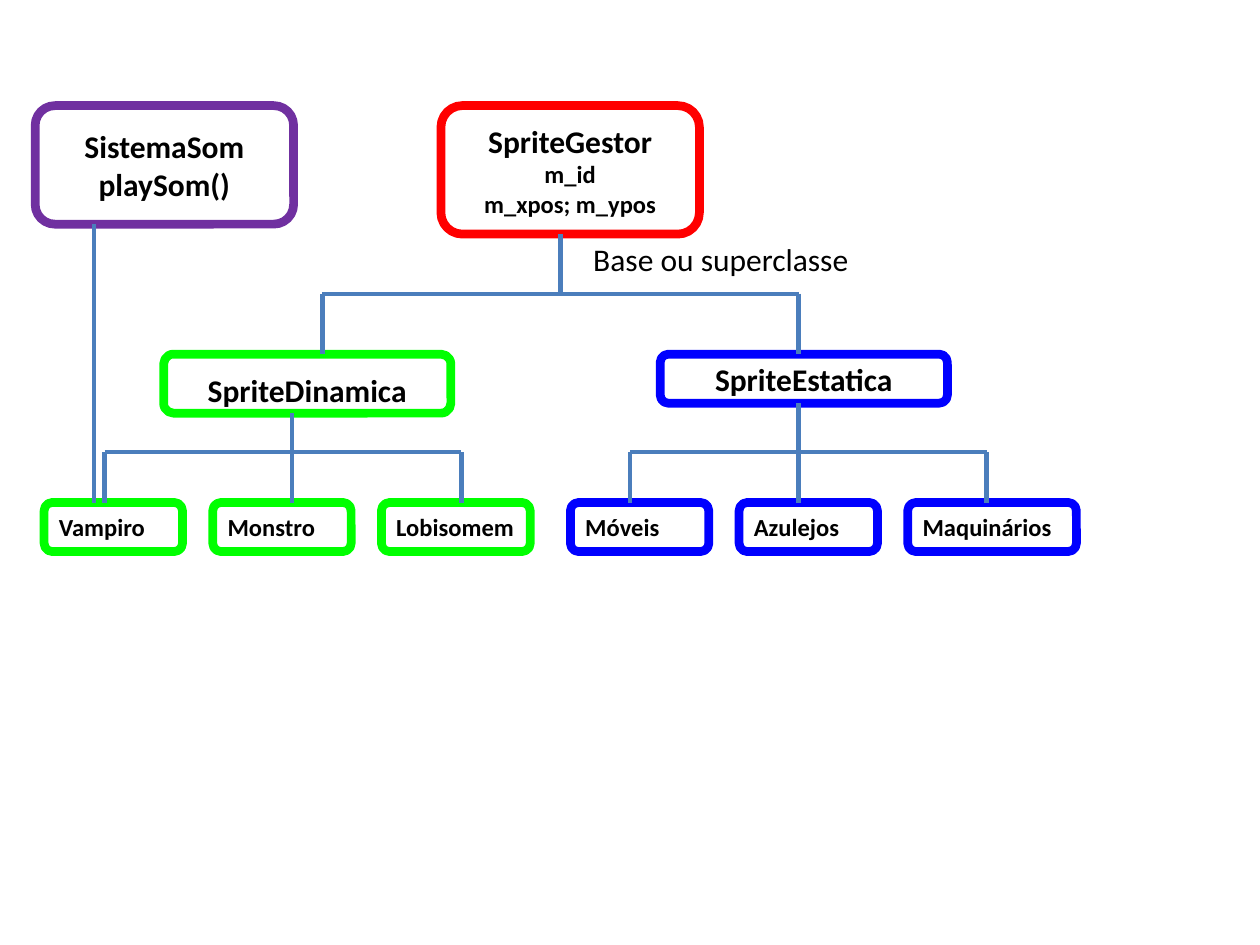
"""Build a slide with the class hierarchy of game sprites."""
from pptx import Presentation
from pptx.dml.color import RGBColor
from pptx.enum.shapes import MSO_CONNECTOR, MSO_SHAPE
from pptx.enum.text import MSO_ANCHOR, PP_ALIGN
from pptx.util import Cm, Pt
from lxml.etree import SubElement
from pptx.oxml.ns import qn

RED = RGBColor(0xFF, 0x00, 0x00)
GREEN = RGBColor(0x00, 0xFF, 0x00)
BLUE = RGBColor(0x00, 0x00, 0xFF)
PURPLE = RGBColor(0x70, 0x30, 0xA0)
STEEL = RGBColor(0x4B, 0x7E, 0xBC)
BLACK = RGBColor(0x00, 0x00, 0x00)

BASE_TOP, CLASS_TOP, LEAF_TOP = 2.13, 7.14, 10.13
CLASS_BUS, LEAF_BUS = 5.92, 9.12
LEAF_STEP, LEAF_HEIGHT = 3.4, 0.99

deck = Presentation()
deck.slide_width, deck.slide_height = Cm(25.4), Cm(19.05)
page = deck.slides.add_slide(deck.slide_layouts[6])


def write_lines(frame, lines, align, bold):
    for index, (text, size) in enumerate(lines):
        para = frame.paragraphs[0] if index == 0 else frame.add_paragraph()
        para.alignment = align
        span = para.add_run()
        span.text = text
        span.font.color.rgb = BLACK
        for name, value in {"name": "Calibri", "size": Pt(size), "bold": bold}.items():
            setattr(span.font, name, value)


def draw_line(start_x, start_y, end_x, end_y, width=2.5):
    line = page.shapes.add_connector(
        MSO_CONNECTOR.STRAIGHT, Cm(start_x), Cm(start_y), Cm(end_x), Cm(end_y))
    line.line.color.rgb = STEEL
    line.line.width = Pt(width)
    SubElement(line._element.spPr, qn("a:effectLst"))


centred = PP_ALIGN.CENTER
boxes = [
    (8.89, BASE_TOP, 5.21, 2.59, RED, centred, {},
     [("SpriteGestor", 18), ("m_id", 14), ("m_xpos; m_ypos", 14)]),
    (0.71, BASE_TOP, 5.21, 2.39, PURPLE, centred, {},
     [("SistemaSom", 18), ("playSom()", 18)]),
    (3.3, CLASS_TOP, 5.79, 1.19, GREEN, centred,
     {"margin_top": Cm(0.25), "margin_bottom": Cm(0)}, [("SpriteDinamica", 18)]),
    (13.31, CLASS_TOP, 5.79, 0.99, BLUE, centred, {}, [("SpriteEstatica", 18)]),
]
families = [
    (0.89, GREEN, [("Vampiro", 2.79), ("Monstro", 2.79), ("Lobisomem", 3)]),
    (11.5, BLUE, [("Móveis", 2.79), ("Azulejos", 2.79), ("Maquinários", 3.4)]),
]
for first_left, color, leaves in families:
    for index, (name, width) in enumerate(leaves):
        boxes.append((first_left + index * LEAF_STEP, LEAF_TOP, width, LEAF_HEIGHT, color,
                      PP_ALIGN.LEFT, {"margin_right": Cm(0)}, [(name, 14)]))

for left, top, width, height, color, align, margins, lines in boxes:
    box = page.shapes.add_shape(
        MSO_SHAPE.ROUNDED_RECTANGLE, Cm(left), Cm(top), Cm(width), Cm(height))
    box.shadow.inherit = False
    box.fill.background()
    box.line.color.rgb = color
    box.line.width = Pt(5)
    frame = box.text_frame
    settings = {"word_wrap": True, "vertical_anchor": MSO_ANCHOR.MIDDLE, **margins}
    for name, value in settings.items():
        setattr(frame, name, value)
    write_lines(frame, lines, align, True)

label = page.shapes.add_textbox(Cm(11.71), Cm(4.72), Cm(7.8), Cm(1.02))
label.text_frame.word_wrap = True
write_lines(label.text_frame, [("Base ou superclasse", 18)], PP_ALIGN.LEFT, False)

branches = [
    (11.3, 4.72, CLASS_BUS, CLASS_TOP, [6.5, 16.1]),
    (5.89, 8.33, LEAF_BUS, LEAF_TOP, [2.11, 5.89, 9.3]),
    (16.1, 8.13, LEAF_BUS, LEAF_TOP, [12.7, 16.1, 19.89]),
]
for stem, parent_bottom, bus, child_top, drops in branches:
    draw_line(stem, parent_bottom, stem, bus)
    draw_line(drops[0], bus, drops[-1], bus, 2.25)
    for drop in drops:
        draw_line(drop, bus, drop, child_top)
draw_line(1.9, 4.52, 1.9, LEAF_TOP)

deck.save("out.pptx")
